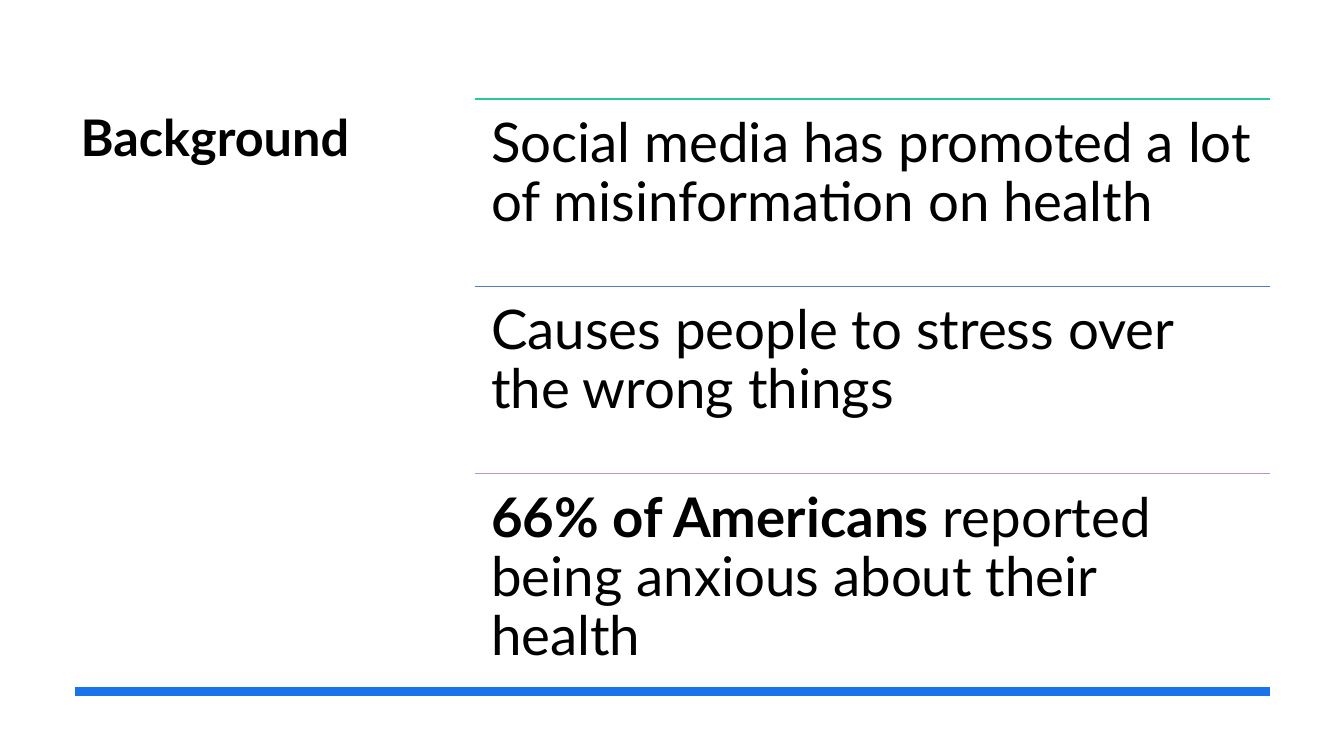
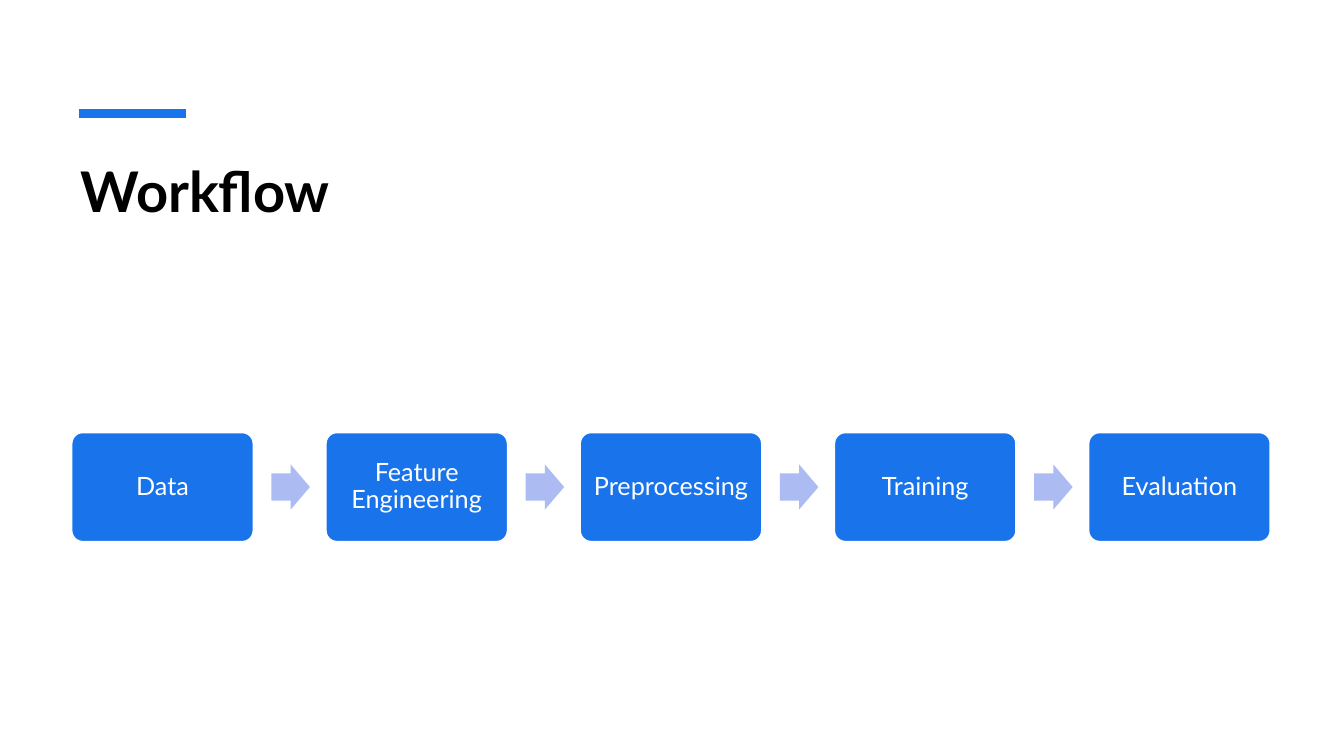
from lxml.etree import SubElement
from pptx import Presentation
from pptx.dml.color import RGBColor
from pptx.enum.shapes import MSO_CONNECTOR, MSO_SHAPE
from pptx.enum.text import MSO_ANCHOR, MSO_AUTO_SIZE, PP_ALIGN
from pptx.oxml.ns import qn
from pptx.util import Pt

FONT = "Lato"
BLACK = RGBColor(0x00, 0x00, 0x00)
WHITE = RGBColor(0xFF, 0xFF, 0xFF)
BLUE = RGBColor(0x19, 0x73, 0xEB)
GREEN = RGBColor(0x25, 0xC8, 0xA2)
INDIGO = RGBColor(0x57, 0x75, 0xCF)
MAUVE = RGBColor(0xBF, 0x8E, 0xD1)
PALE_BLUE = RGBColor(0xAC, 0xBC, 0xF3)
RIGHT = 907.2

prs = Presentation()
prs.slide_width, prs.slide_height = Pt(960), Pt(540)


def add_titled_slide(title, top, width, height, size):
    s = prs.slides.add_slide(prs.slide_layouts.get_by_name("Title Only"))
    sp = s.shapes.title
    sp.left, sp.top, sp.width, sp.height = Pt(50.4), Pt(top), Pt(width), Pt(height)
    tf = sp.text_frame
    tf.text = title
    tf.auto_size = MSO_AUTO_SIZE.NONE
    tf.vertical_anchor = MSO_ANCHOR.TOP
    p = tf.paragraphs[0]
    p.alignment = PP_ALIGN.LEFT
    font = p.runs[0].font
    font.name, font.size, font.bold = FONT, Pt(size), True
    font.color.rgb = BLACK
    return s


def add_rule(s, left, right, y, color, weight):
    """Draw a horizontal line without a shadow."""
    rule = s.shapes.add_connector(MSO_CONNECTOR.STRAIGHT, Pt(left), Pt(y), Pt(right), Pt(y))
    rule.line.color.rgb = color
    rule.line.width = Pt(weight)
    SubElement(rule._element.spPr, qn("a:effectLst"))


# Slide 1: background
s = add_titled_slide("Background", 72, 236, 327.6, 36)
add_rule(s, 53.3, RIGHT, 493.9, BLUE, 6)

POINTS_LEFT, POINTS_TOP, POINT_HEIGHT = 339.1, 70.6, 133.9
points = [
    (GREEN, "", "Social media has promoted a lot of misinformation on health"),
    (INDIGO, "", "Causes people to stress over the wrong things"),
    (MAUVE, "66% of Americans", " reported being anxious about their health"),
]
for i, (color, lead, rest) in enumerate(points):
    top = POINTS_TOP + i * POINT_HEIGHT
    add_rule(s, POINTS_LEFT, RIGHT, top, color, 1)
    sp = s.shapes.add_textbox(Pt(POINTS_LEFT), Pt(top), Pt(RIGHT - POINTS_LEFT), Pt(POINT_HEIGHT))
    tf = sp.text_frame
    tf.word_wrap = True
    tf.margin_left = tf.margin_right = tf.margin_top = tf.margin_bottom = Pt(11.7)
    p = tf.paragraphs[0]
    p.line_spacing = 0.9
    for text, bold in ((lead, True), (rest, False)):
        if text:
            r = p.add_run()
            r.text = text
            r.font.name, r.font.size, r.font.bold = FONT, Pt(39), bold
            r.font.color.rgb = BLACK

# Slide 2: workflow
s = add_titled_slide("Workflow", 108, 857.5, 86.4, 40)
add_rule(s, 56.2, 133.2, 81.2, BLUE, 6)

STEPS_LEFT, STEP_PITCH, MIDDLE = 51.3, 181.6, 347.9
STEP_WIDTH, STEP_HEIGHT = 129.6, 77.8
ARROW_OFFSET, ARROW_WIDTH, ARROW_HEIGHT = 142.6, 27.5, 32.2
steps = ["Data", "Feature Engineering", "Preprocessing", "Training", "Evaluation"]
for i, step in enumerate(steps):
    left = STEPS_LEFT + i * STEP_PITCH
    sp = s.shapes.add_shape(MSO_SHAPE.ROUNDED_RECTANGLE, Pt(left), Pt(MIDDLE - STEP_HEIGHT / 2),
                            Pt(STEP_WIDTH), Pt(STEP_HEIGHT))
    sp.adjustments[0] = 0.1
    sp.shadow.inherit = False
    sp.fill.solid()
    sp.fill.fore_color.rgb = BLUE
    sp.line.color.rgb = WHITE
    sp.line.width = Pt(1)
    tf = sp.text_frame
    tf.text = step
    tf.word_wrap = True
    tf.vertical_anchor = MSO_ANCHOR.MIDDLE
    tf.margin_left = tf.margin_right = tf.margin_top = tf.margin_bottom = Pt(7.2)
    p = tf.paragraphs[0]
    p.alignment = PP_ALIGN.CENTER
    p.line_spacing = 0.9
    r = p.runs[0]
    r.font.name, r.font.size = FONT, Pt(18)
    r.font.color.rgb = WHITE

    if i < len(steps) - 1:
        arrow = s.shapes.add_shape(MSO_SHAPE.RIGHT_ARROW, Pt(left + ARROW_OFFSET),
                                   Pt(MIDDLE - ARROW_HEIGHT / 2), Pt(ARROW_WIDTH), Pt(ARROW_HEIGHT))
        arrow.adjustments[0] = 0.6
        arrow.adjustments[1] = 0.5
        arrow.shadow.inherit = False
        arrow.fill.solid()
        arrow.fill.fore_color.rgb = PALE_BLUE
        arrow.line.fill.background()

prs.save("out.pptx")
